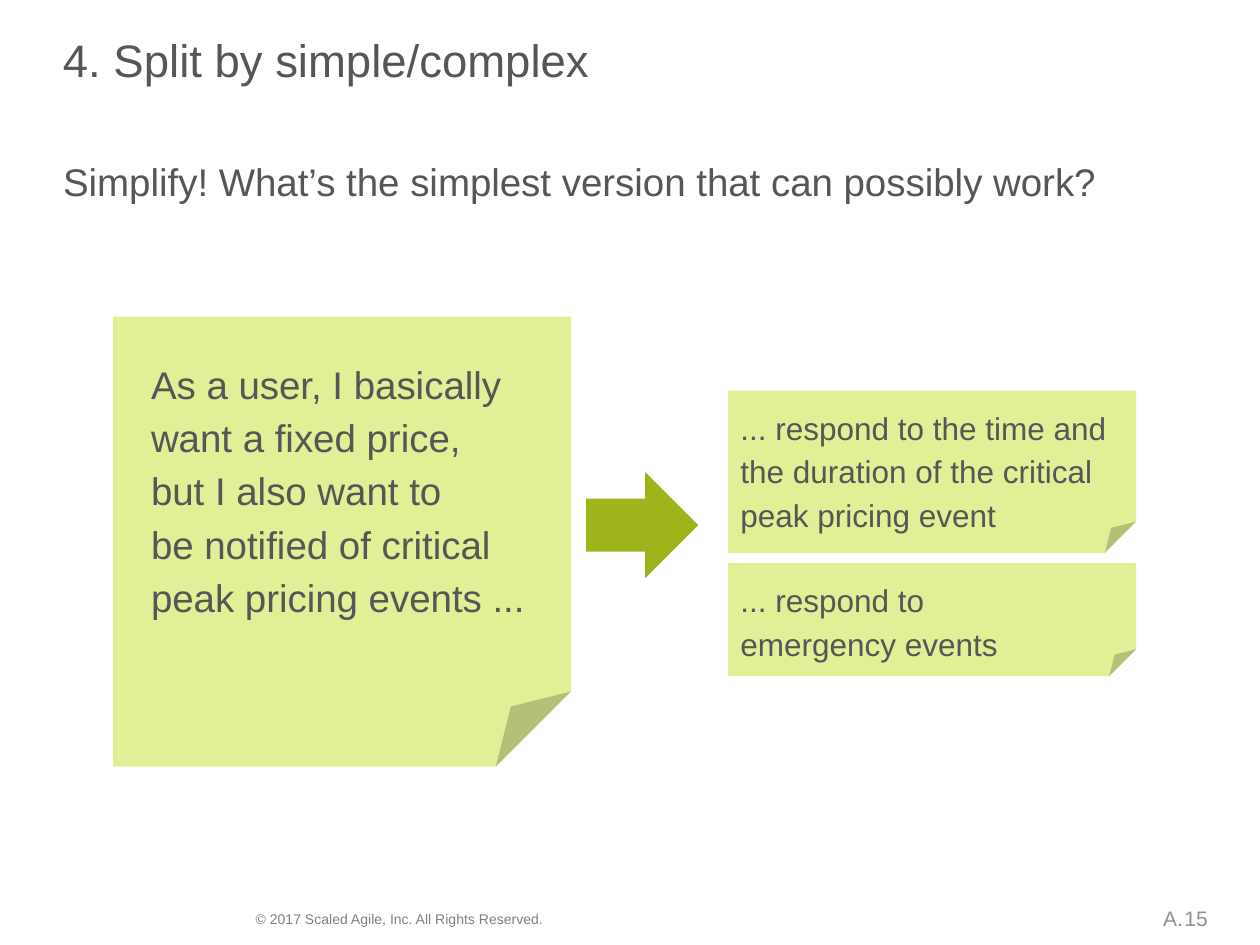
"""Build the slide on splitting a user story by simple and complex parts."""
from lxml.etree import SubElement
from pptx import Presentation
from pptx.dml.color import RGBColor
from pptx.enum.shapes import MSO_SHAPE
from pptx.enum.text import MSO_ANCHOR, PP_ALIGN
from pptx.oxml.ns import qn
from pptx.util import Pt

COLORS = {
    "text": "565656",
    "number": "919191",
    "copyright": "808080",
    "note": "E2EF96",
    "arrow": "9EB31C",
}
FONT = "Arial"
NO_MARGINS = (0, 0, 0, 0)
SMALL_NOTE_MARGINS = (7.2, 7.2, 7.2, 14.4)
STORY_SPACING = 1.15

TEXTS = [
    {"text": "4. Split by simple/complex", "box": (36, 18, 648, 31.7), "size": 26,
     "anchor": MSO_ANCHOR.BOTTOM},
    {"text": "Simplify! What’s the simplest version that can possibly work?",
     "box": (36, 86.4, 686, 64.8), "size": 22, "spacing": STORY_SPACING},
    {"text": "© 2017 Scaled Agile, Inc. All Rights Reserved.",
     "box": (139, 517, 327, 17.3), "size": 8, "color": "copyright",
     "margins": (7.2, 3.6, 7.2, 3.6)},
    {"text": "A.", "box": (664.5, 517.7, 11.5, 14.4), "size": 12, "color": "number",
     "align": PP_ALIGN.RIGHT, "wrap": False},
    {"text": "15", "box": (676.8, 517.7, 22.3, 14.4), "size": 12, "color": "number"},
]

NOTES = [
    {"text": "As a user, I basically want a fixed price,\nbut I also want to\n"
             "be notified of critical peak pricing events ...",
     "box": (64.7, 180.9, 261.6, 257.2), "size": 22, "fold": 0.167,
     "margins": (21.6, 21.6, 14.4, 14.4)},
    {"text": "... respond to the time and the duration of the critical peak pricing event",
     "box": (416, 223.2, 233.2, 92.8), "size": 18, "fold": 0.193,
     "margins": SMALL_NOTE_MARGINS},
    {"text": "... respond to\nemergency events",
     "box": (416, 321.8, 233.2, 64.6), "size": 18, "fold": 0.238,
     "margins": SMALL_NOTE_MARGINS},
]
ARROW_BOX = (335, 269.8, 64, 60.6)


def color(name):
    return RGBColor.from_string(COLORS[name])


def apply(target, values):
    for name, value in values.items():
        setattr(target, name, value)


def write_text(shape, item):
    frame = shape.text_frame
    left, top, right, bottom = map(Pt, item.get("margins", NO_MARGINS))
    apply(frame, {
        "word_wrap": item.get("wrap", True),
        "vertical_anchor": item.get("anchor", MSO_ANCHOR.TOP),
        "margin_left": left, "margin_top": top,
        "margin_right": right, "margin_bottom": bottom,
    })
    paragraph = frame.paragraphs[0]
    paragraph.text = item["text"]
    apply(paragraph, {
        "alignment": item.get("align", PP_ALIGN.LEFT),
        "line_spacing": item.get("spacing", 1.0),
    })
    apply(paragraph.font, {"name": FONT, "size": Pt(item["size"])})
    paragraph.font.color.rgb = color(item.get("color", "text"))


def add_filled_shape(slide, kind, box, fill):
    shape = slide.shapes.add_shape(kind, *map(Pt, box))
    shape.shadow.inherit = False
    shape.fill.solid()
    shape.fill.fore_color.rgb = color(fill)
    shape.line.fill.background()
    return shape


def set_fold(shape, fold):
    geometry = shape.element.spPr.find(qn("a:prstGeom"))
    guides = geometry.find(qn("a:avLst"))
    if guides is None:
        guides = SubElement(geometry, qn("a:avLst"))
    for guide in list(guides):
        guides.remove(guide)
    SubElement(guides, qn("a:gd"), name="adj", fmla=f"val {round(fold * 100000)}")


def main():
    presentation = Presentation()
    apply(presentation, {"slide_width": Pt(720), "slide_height": Pt(540)})
    slide = presentation.slides.add_slide(presentation.slide_layouts[6])
    for item in TEXTS:
        write_text(slide.shapes.add_textbox(*map(Pt, item["box"])), item)
    for note in NOTES:
        shape = add_filled_shape(slide, MSO_SHAPE.FOLDED_CORNER, note["box"], "note")
        set_fold(shape, note["fold"])
        write_text(shape, {**note, "spacing": STORY_SPACING})
    add_filled_shape(slide, MSO_SHAPE.RIGHT_ARROW, ARROW_BOX, "arrow")
    presentation.save("out.pptx")


if __name__ == "__main__":
    main()
